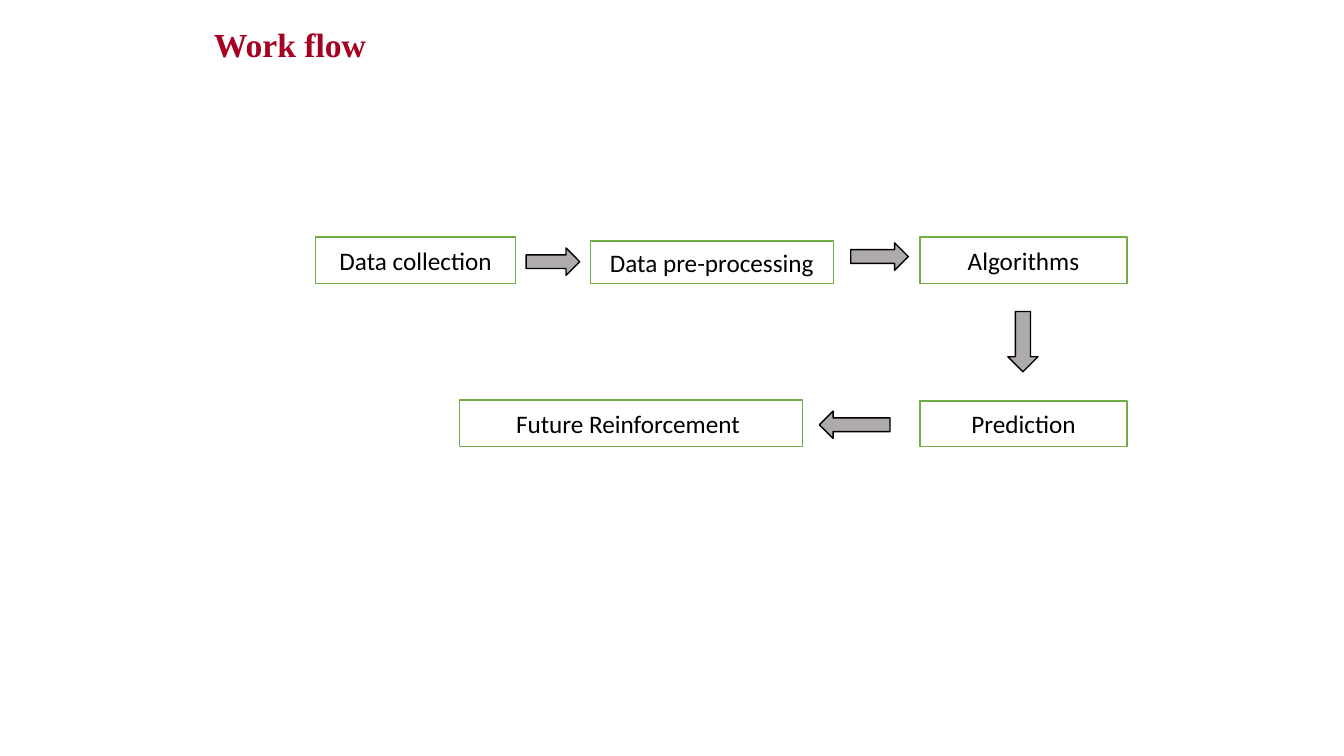
from pptx import Presentation
from pptx.dml.color import RGBColor
from pptx.enum.shapes import MSO_SHAPE
from pptx.enum.text import MSO_ANCHOR, PP_ALIGN
from pptx.util import Cm, Pt

CRIMSON = RGBColor(0xA5, 0x00, 0x21)
GREEN = RGBColor(0x70, 0xAD, 0x47)
GREY = RGBColor(0xAF, 0xAB, 0xAB)
BLACK = RGBColor(0, 0, 0)
WHITE = RGBColor(0xFF, 0xFF, 0xFF)

# Left, top, width, height in cm, relative to the flow region
STEPS = [
    ("Data collection", 0, 0, 5.05, 1.17),
    ("Data pre-processing", 6.93, 0.1, 6.12, 1.07),
    ("Algorithms", 15.24, 0, 5.21, 1.17),
    ("Prediction", 15.24, 4.14, 5.21, 1.14),
    ("Future Reinforcement ", 3.63, 4.11, 8.64, 1.17),
]
ARROWS = [
    (MSO_SHAPE.RIGHT_ARROW, 5.31, 0.28, 1.35, 0.69),
    (MSO_SHAPE.RIGHT_ARROW, 13.49, 0.15, 1.45, 0.69),
    (MSO_SHAPE.DOWN_ARROW, 17.45, 1.88, 0.76, 1.52),
    (MSO_SHAPE.LEFT_ARROW, 12.7, 4.39, 1.78, 0.69),
]


def write_text(shape, text, *, font="Calibri", size=18, color=BLACK,
               bold=False, anchor=MSO_ANCHOR.MIDDLE, line_spacing=1.0):
    frame = shape.text_frame
    frame.word_wrap = True
    frame.vertical_anchor = anchor
    paragraph = frame.paragraphs[0]
    paragraph.alignment = PP_ALIGN.CENTER
    paragraph.line_spacing = line_spacing
    run = paragraph.add_run()
    run.text = text
    run.font.name = font
    run.font.size = Pt(size)
    run.font.bold = bold
    run.font.color.rgb = color


def add_outlined_shape(slide, kind, left, top, width, height, fill, line):
    shape = slide.shapes.add_shape(kind, Cm(left), Cm(top), Cm(width), Cm(height))
    shape.shadow.inherit = False
    shape.fill.solid()
    shape.fill.fore_color.rgb = fill
    shape.line.color.rgb = line
    shape.line.width = Pt(1)
    return shape


def add_title(slide, left, top, width, height):
    title = slide.shapes.add_textbox(Cm(left), Cm(top), Cm(width), Cm(height))
    write_text(title, "Work flow ", font="Times New Roman", size=24, color=CRIMSON,
               bold=True, anchor=MSO_ANCHOR.BOTTOM, line_spacing=0.9)


def add_flow(slide, left, top):
    # Step boxes
    for text, x, y, width, height in STEPS:
        box = add_outlined_shape(slide, MSO_SHAPE.RECTANGLE, left + x, top + y,
                                 width, height, WHITE, GREEN)
        write_text(box, text)
    # Arrows between the steps
    for kind, x, y, width, height in ARROWS:
        add_outlined_shape(slide, kind, left + x, top + y, width, height, GREY, BLACK)


def main():
    presentation = Presentation()
    presentation.slide_width = Cm(33.87)
    presentation.slide_height = Cm(19.05)
    slide = presentation.slides.add_slide(presentation.slide_layouts[6])
    add_title(slide, 1.27, -0.1, 12.29, 1.85)
    add_flow(slide, 7.95, 5.97)
    presentation.save("out.pptx")


if __name__ == "__main__":
    main()
